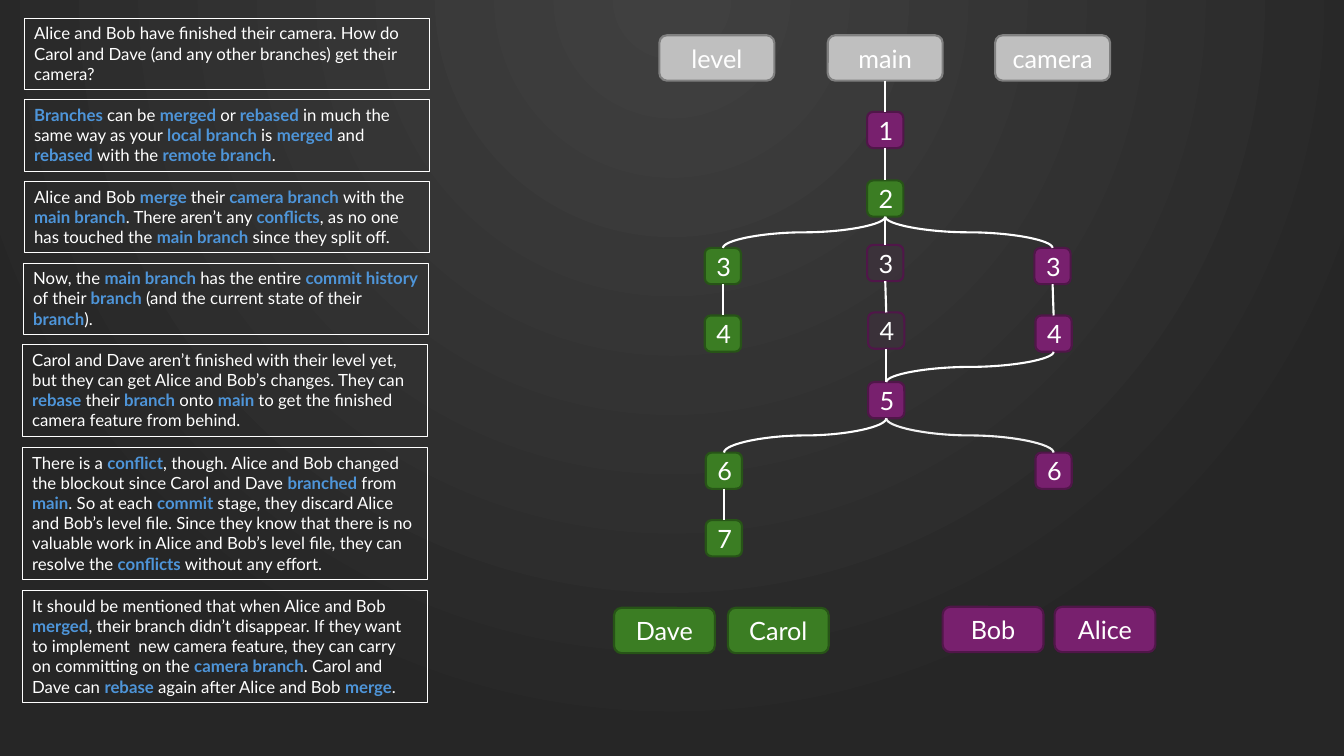
"""Build a slide explaining how branches are merged and rebased."""
from lxml import etree
from pptx import Presentation
from pptx import util as u
from pptx.dml.color import RGBColor
from pptx.enum import shapes, text
from pptx.oxml.ns import qn

PX = 9144
FONT = "Lato"
WHITE = RGBColor(0xFF, 0xFF, 0xFF)
OFF_WHITE = RGBColor(0xF2, 0xF2, 0xF2)
BLUE = RGBColor(0x4E, 0x95, 0xD9)
PURPLE = (RGBColor(0x78, 0x20, 0x6E), RGBColor(0x50, 0x16, 0x49))
GREEN = (RGBColor(0x3B, 0x7D, 0x23), RGBColor(0x27, 0x54, 0x17))
GREY = (RGBColor(0xBF, 0xBF, 0xBF), RGBColor(0x80, 0x80, 0x80))
BACKDROP = (RGBColor(0x40, 0x40, 0x40), RGBColor(0x26, 0x26, 0x26))

SLIDE_SIZE = (1333, 750)
NOTE_WIDTH = 402
COMMIT_SIZE = 36
LABEL_HEIGHT = 45
FAINT_ALPHA = 10
HIGHLIGHT_MARK = "*"

NOTES = [
    (24, 18, 71, "Alice and Bob have finished their camera. How do Carol and Dave "
     "(and any other branches) get their camera?"),
    (24, 99, 71, "*Branches *can be *merged *or *rebased *in much the same way as your "
     "*local branch *is *merged *and *rebased *with the *remote branch*."),
    (24, 180, 71, "Alice and Bob *merge *their *camera branch *with the *main branch*. "
     "There aren’t any *conflicts*, as no one has touched the *main branch *since "
     "they split off."),
    (23, 261, 71, "Now, the *main branch *has the entire *commit history *of their "
     "*branch *(and the current state of their *branch*)."),
    (22, 342, 91, "Carol and Dave aren’t finished with their level yet, but they can get "
     "Alice and Bob’s changes. They can *rebase *their *branch *onto *main *to get "
     "the finished camera feature from behind."),
    (22, 444, 131, "There is a *conflict*, though. Alice and Bob changed the blockout "
     "since Carol and Dave *branched *from *main*. So at each *commit *stage, they "
     "discard Alice and Bob’s level file. Since they know that there is no valuable "
     "work in Alice and Bob’s level file, they can resolve the *conflicts *without "
     "any effort."),
    (22, 586, 111, "It should be mentioned that when Alice and Bob *merged*, their branch "
     "didn’t disappear. If they want to implement  new camera feature, they can carry "
     "on committing on the *camera branch*. Carol and Dave can *rebase *again after "
     "Alice and Bob *merge*."),
]

LABELS = {
    "level": (654, 35, 114, GREY),
    "main": (821, 35, 114, GREY),
    "camera": (987, 35, 114, GREY),
    "Dave": (609, 603, 100, GREEN),
    "Carol": (722, 603, 100, GREEN),
    "Bob": (935, 602, 100, PURPLE),
    "Alice": (1046, 602, 100, PURPLE),
}

COMMITS = {
    "main 1": (860, 111, PURPLE),
    "main 2": (860, 179, GREEN),
    "faint 3": (860, 243, PURPLE),
    "faint 4": (861, 310, PURPLE),
    "main 5": (861, 379, PURPLE),
    "level 3": (699, 246, GREEN),
    "level 4": (699, 313, GREEN),
    "level 6": (700, 449, GREEN),
    "level 7": (700, 516, GREEN),
    "camera 3": (1026, 246, PURPLE),
    "camera 4": (1027, 313, PURPLE),
    "camera 6": (1027, 449, PURPLE),
}

STRAIGHT_LINKS = [
    ("main", "main 1"), ("main 1", "main 2"), ("main 2", "faint 3"),
    ("faint 3", "faint 4"), ("faint 4", "main 5"), ("level 3", "level 4"),
    ("camera 3", "camera 4"), ("level 6", "level 7"),
]
CURVED_LINKS = [
    ("main 2", "level 3", WHITE), ("main 2", "camera 3", WHITE),
    ("camera 4", "main 5", WHITE), ("main 5", "level 6", WHITE),
    ("main 5", "camera 6", OFF_WHITE),
]


def paint_background(slide):
    """Apply the radial gradient centred above the slide."""
    fill = slide.background.fill
    fill.gradient()
    for stop, position, color in zip(fill.gradient_stops, (0, 1), BACKDROP):
        stop.position = position
        stop.color.rgb = color
    gradient = slide.element.find(".//" + qn("a:gradFill"))
    linear = gradient.find(qn("a:lin"))
    radial = etree.Element(qn("a:path"), {"path": "circle"})
    etree.SubElement(radial, qn("a:fillToRect"),
                     {"l": "50000", "t": "-80000", "r": "50000", "b": "180000"})
    gradient.replace(linear, radial)


def add_box(slide, kind, left, top, width, height, border, weight):
    """Add an outlined preset shape without shadow."""
    box = slide.shapes.add_shape(kind, *(n * PX for n in (left, top, width, height)))
    box.shadow.inherit = False
    box.line.color.rgb = border
    box.line.width = u.Pt(weight)
    return box


def style_run(run, size, color=WHITE, bold=False):
    """Set the font of one run."""
    run.font.name = FONT
    run.font.size = u.Pt(size)
    run.font.color.rgb = color
    run.font.bold = bold


def add_note(slide, left, top, height, wording):
    """Add a bordered explanation with highlighted terms."""
    note = add_box(slide, shapes.MSO_SHAPE.RECTANGLE, left, top, NOTE_WIDTH, height,
                   WHITE, 0.75)
    note.fill.background()
    frame = note.text_frame
    frame.word_wrap = True
    frame.auto_size = text.MSO_AUTO_SIZE.SHAPE_TO_FIT_TEXT
    frame.vertical_anchor = text.MSO_ANCHOR.TOP
    paragraph = frame.paragraphs[0]
    paragraph.alignment = text.PP_ALIGN.LEFT
    for index, part in enumerate(wording.split(HIGHLIGHT_MARK)):
        if part:
            run = paragraph.add_run()
            run.text = part
            highlighted = index % 2 == 1
            style_run(run, 12, BLUE if highlighted else WHITE, highlighted)


def add_node(slide, caption, left, top, width, height, colors, faint=False):
    """Add a rounded label or commit and return its top and bottom anchors."""
    node = add_box(slide, shapes.MSO_SHAPE.ROUNDED_RECTANGLE, left, top, width, height,
                   colors[1], 1.5)
    node.fill.solid()
    node.fill.fore_color.rgb = colors[0]
    if faint:
        color = node.element.spPr.find(qn("a:solidFill"))[0]
        etree.SubElement(color, qn("a:alpha"), val=str(FAINT_ALPHA * 1000))
    frame = node.text_frame
    frame.text = caption
    frame.vertical_anchor = text.MSO_ANCHOR.MIDDLE
    frame.paragraphs[0].alignment = text.PP_ALIGN.CENTER
    style_run(frame.paragraphs[0].runs[0], 18)
    center = left + width // 2
    return (center, top), (center, top + height)


def add_link(slide, kind, x1, y1, x2, y2, color=WHITE):
    """Add a plain connector."""
    link = slide.shapes.add_connector(kind, *(round(n * PX) for n in (x1, y1, x2, y2)))
    link.line.color.rgb = color
    link.line.width = u.Pt(1.5)
    etree.SubElement(link.element.spPr, qn("a:effectLst"))
    return link


def add_curve(slide, start, end, color):
    """Add a curve that leaves and arrives vertically, by turning a sideways one."""
    (x1, y1), (x2, y2) = start, end
    middle_x, middle_y = (x1 + x2) / 2, (y1 + y2) / 2
    half_run, half_drop = abs(x2 - x1) / 2, (y2 - y1) / 2
    side = 1 if x2 > x1 else -1
    curve = add_link(slide, shapes.MSO_CONNECTOR.CURVE,
                     middle_x + side * half_drop, middle_y - half_run,
                     middle_x - side * half_drop, middle_y + half_run, color)
    angle = 270 if side == 1 else 90
    curve.element.spPr.find(qn("a:xfrm")).set("rot", str(angle * 60000))


def main():
    """Assemble and save the slide."""
    presentation = Presentation()
    presentation.slide_width, presentation.slide_height = (n * PX for n in SLIDE_SIZE)
    slide = presentation.slides.add_slide(presentation.slide_layouts[6])
    paint_background(slide)
    for note in NOTES:
        add_note(slide, *note)
    anchors = {}
    for name, (left, top, width, colors) in LABELS.items():
        anchors[name] = add_node(slide, name, left, top, width, LABEL_HEIGHT, colors)
    for name, (left, top, colors) in COMMITS.items():
        branch, number = name.split()
        anchors[name] = add_node(slide, number, left, top, COMMIT_SIZE, COMMIT_SIZE,
                                 colors, branch == "faint")
    for upper, lower in STRAIGHT_LINKS:
        add_link(slide, shapes.MSO_CONNECTOR.STRAIGHT, *anchors[upper][1], *anchors[lower][0])
    for upper, lower, color in CURVED_LINKS:
        add_curve(slide, anchors[upper][1], anchors[lower][0], color)
    presentation.save("out.pptx")


if __name__ == "__main__":
    main()
